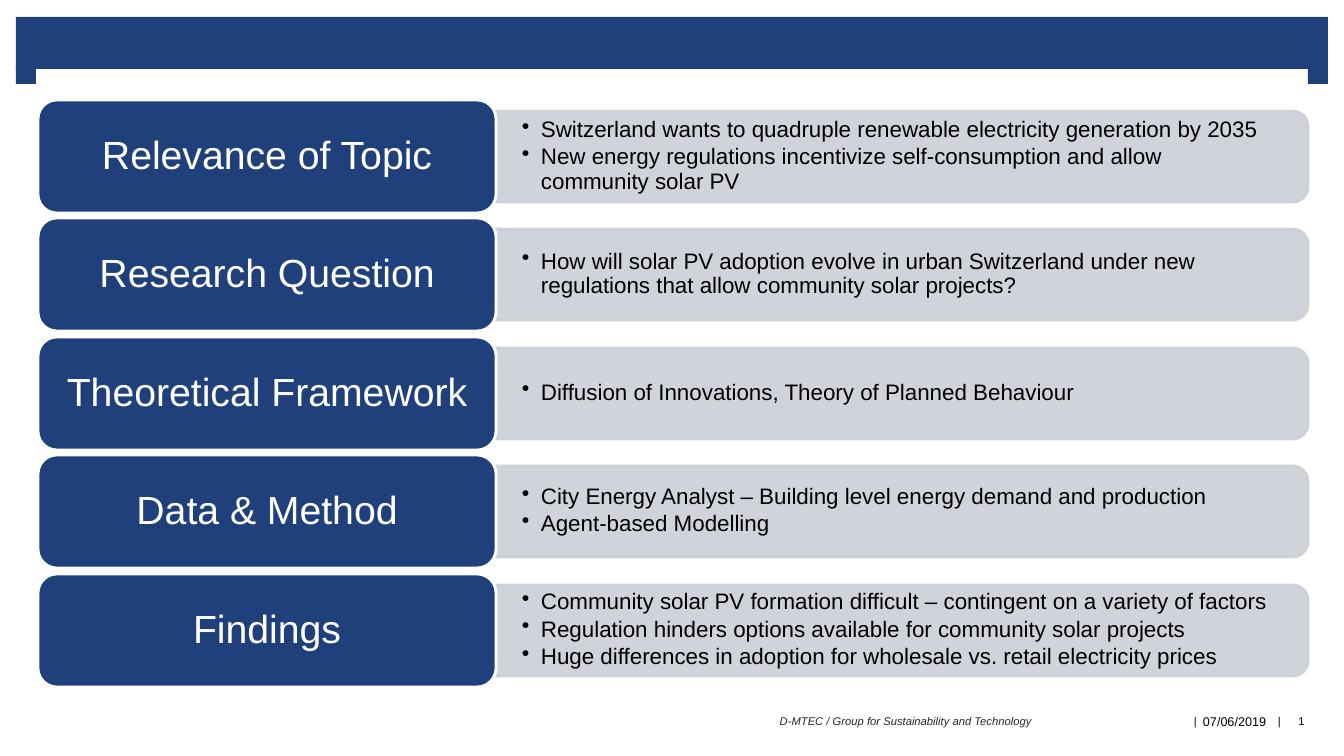
import lxml.etree
import pptx
import pptx.dml.color
import pptx.enum.shapes
import pptx.enum.text
import pptx.oxml.ns
import pptx.util

RGBColor = pptx.dml.color.RGBColor
MSO_SHAPE = pptx.enum.shapes.MSO_SHAPE
PP_ALIGN = pptx.enum.text.PP_ALIGN
MSO_ANCHOR = pptx.enum.text.MSO_ANCHOR
qn = pptx.oxml.ns.qn

NAVY = RGBColor(0x1F, 0x40, 0x7A)
GREY = RGBColor(0xCD, 0xCF, 0xD7)
WHITE = RGBColor(0xFF, 0xFF, 0xFF)
BLACK = RGBColor(0x00, 0x00, 0x00)
CHARCOAL = RGBColor(0x26, 0x26, 0x26)

FONT = "Arial"
EMU_PER_PX = 914400 / 100.8
ROW_TOP = 100
ROW_PITCH = 118.4
LABEL_HEIGHT = 113
CARD_LEFT, CARD_WIDTH, CARD_HEIGHT = 495, 813, 91

ROWS = [
    ("Relevance of Topic", [
        "Switzerland wants to quadruple renewable electricity generation by 2035",
        "New energy regulations incentivize self-consumption and allow community solar PV",
    ]),
    ("Research Question", [
        "How will solar PV adoption evolve in urban Switzerland under new "
        "regulations that allow community solar projects?",
    ]),
    ("Theoretical Framework", [
        "Diffusion of Innovations, Theory of Planned Behaviour",
    ]),
    ("Data & Method", [
        "City Energy Analyst – Building level energy demand and production",
        "Agent-based Modelling",
    ]),
    ("Findings", [
        "Community solar PV formation difficult – contingent on a variety of factors",
        "Regulation hinders options available for community solar projects",
        "Huge differences in adoption for wholesale vs. retail electricity prices",
    ]),
]


def px(length):
    return pptx.util.Emu(round(length * EMU_PER_PX))


def add_block(slide, kind, box, fill, line=None):
    shape = slide.shapes.add_shape(kind, *map(px, box))
    shape.shadow.inherit = False
    shape.fill.solid()
    shape.fill.fore_color.rgb = fill
    if line is None:
        shape.line.fill.background()
    else:
        shape.line.color.rgb = line
        shape.line.width = pptx.util.Pt(2)
    return shape


def set_opacity(shape, percent):
    """Make the solid fill and line of a shape partly transparent."""
    for color in shape._element.spPr.iter(qn("a:srgbClr")):
        alpha = lxml.etree.SubElement(color, qn("a:alpha"))
        alpha.set("val", str(percent * 1000))


def set_bullet(paragraph, indent):
    properties = paragraph._p.get_or_add_pPr()
    properties.set("marL", str(px(indent)))
    properties.set("indent", str(-px(indent)))
    lxml.etree.SubElement(properties, qn("a:buChar")).set("char", "•")


def write_text(shape, *lines, size, color=BLACK, align=PP_ALIGN.LEFT, italic=False,
               anchor=MSO_ANCHOR.MIDDLE, insets=(0, 0), spacing=None, after=0,
               bullet_indent=None):
    """Fill a shape with one paragraph per line; insets are (sides, top and bottom)."""
    frame = shape.text_frame
    frame.word_wrap = True
    frame.vertical_anchor = anchor
    frame.margin_left = frame.margin_right = px(insets[0])
    frame.margin_top = frame.margin_bottom = px(insets[1])
    for index, line in enumerate(lines):
        paragraph = frame.add_paragraph() if index else frame.paragraphs[0]
        paragraph.alignment = align
        paragraph.line_spacing = spacing
        paragraph.space_after = pptx.util.Pt(after)
        if bullet_indent:
            set_bullet(paragraph, bullet_indent)
        run = paragraph.add_run()
        run.text = line
        run.font.name = FONT
        run.font.size = pptx.util.Pt(size)
        run.font.italic = italic
        run.font.color.rgb = color


def add_text(slide, box, *lines, **text_format):
    write_text(slide.shapes.add_textbox(*map(px, box)), *lines, **text_format)


def add_header(slide):
    for box in [(16, 17, 1312, 52), (16, 66, 20, 18), (1308, 66, 20, 18)]:
        add_block(slide, MSO_SHAPE.RECTANGLE, box, NAVY)


def add_card(slide, top):
    """Add a grey card turned so that its rounded corners are on the right."""
    shift = (CARD_WIDTH - CARD_HEIGHT) // 2
    box = (CARD_LEFT + shift, top - shift, CARD_HEIGHT, CARD_WIDTH)
    card = add_block(slide, MSO_SHAPE.ROUND_2_SAME_RECTANGLE, box, GREY, GREY)
    card.rotation = 90
    set_opacity(card, 90)


def add_row(slide, top, heading, points):
    card_top = top + (LABEL_HEIGHT - CARD_HEIGHT) // 2
    add_card(slide, card_top)
    add_text(slide, (CARD_LEFT, card_top + 4, 808, 82), *points, size=16,
             insets=(27, 14), spacing=0.9, after=2.4, bullet_indent=19)
    label = add_block(slide, MSO_SHAPE.ROUNDED_RECTANGLE,
                      (38, top, 458, LABEL_HEIGHT), NAVY, WHITE)
    write_text(label, heading, size=28, color=WHITE, align=PP_ALIGN.CENTER,
               insets=(17, 11), spacing=0.9)


def add_footer(slide):
    for left in (1188, 1272):
        add_text(slide, (left, 695, 15, 51), "|", size=8,
                 align=PP_ALIGN.CENTER, insets=(4, 5))
    add_text(slide, (532, 696, 500, 51), "D-MTEC / Group for Sustainability and Technology",
             size=8, color=CHARCOAL, align=PP_ALIGN.RIGHT, italic=True)
    add_text(slide, (1282, 696, 39, 51), "1", size=8, align=PP_ALIGN.CENTER)
    add_text(slide, (1193, 709, 89, 25), "07/06/2019", size=9,
             anchor=MSO_ANCHOR.TOP, insets=(10, 5))


def main():
    presentation = pptx.Presentation()
    presentation.slide_width = px(1344)
    presentation.slide_height = px(756)
    slide = presentation.slides.add_slide(presentation.slide_layouts[6])
    add_header(slide)
    for index, (heading, points) in enumerate(ROWS):
        add_row(slide, round(ROW_TOP + index * ROW_PITCH), heading, points)
    add_footer(slide)
    presentation.save("out.pptx")


if __name__ == "__main__":
    main()
